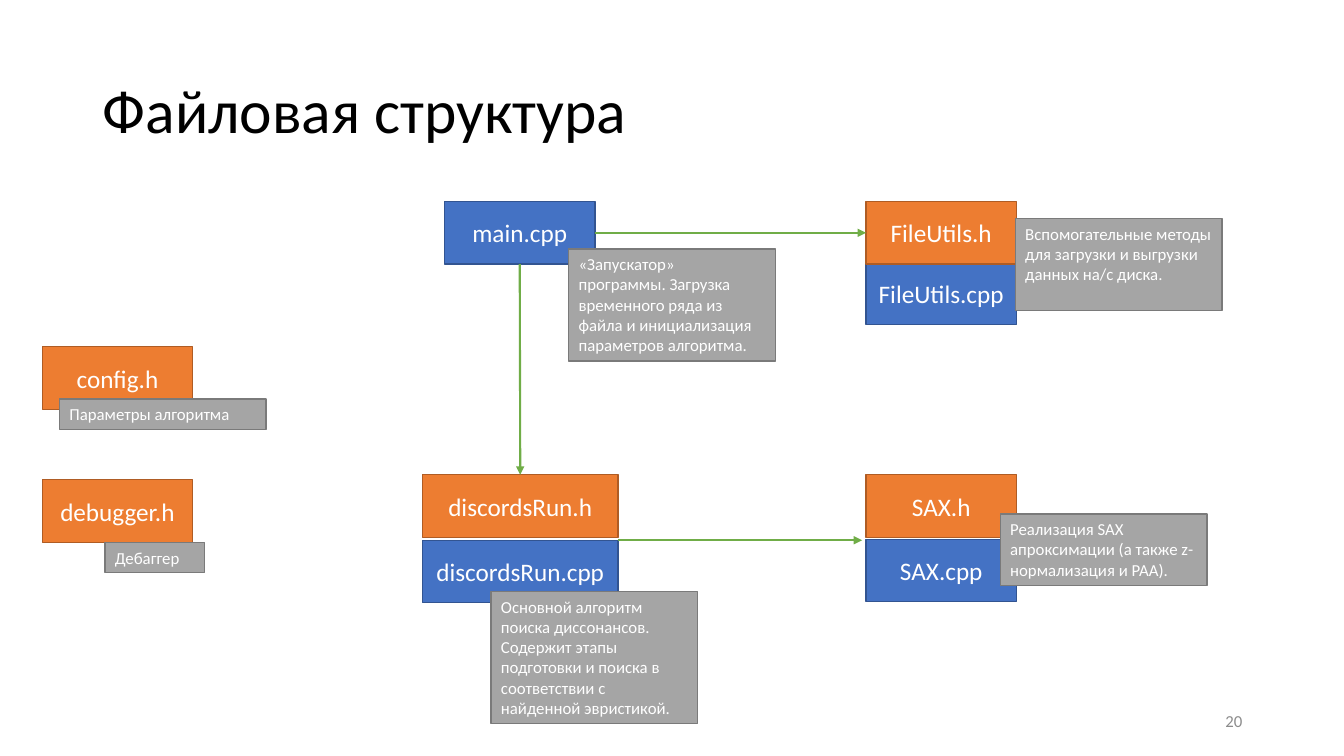
from dataclasses import dataclass

from lxml.etree import SubElement
from pptx import Presentation
from pptx.dml.color import RGBColor
from pptx.enum.shapes import MSO_CONNECTOR as Connector, MSO_SHAPE as Shape
from pptx.enum.text import MSO_ANCHOR as Anchor, MSO_AUTO_SIZE as AutoSize, PP_ALIGN as Align
from pptx.oxml.ns import qn
from pptx.util import Inches, Pt


@dataclass(frozen=True)
class Theme:
    """Colours, font and type sizes of the slide."""
    font: str = "Calibri"
    title_size: int = 44
    file_size: int = 18
    small_size: int = 12
    black: str = "000000"
    white: str = "FFFFFF"
    muted: str = "8C8C8C"
    arrow: str = "70AD47"
    source: tuple = ("4472C4", "325491")
    header: tuple = ("ED7D31", "AF5C24")
    note: tuple = ("A5A5A5", "7A7A7A")


THEME = Theme()
FILE_WIDTH, FILE_HEIGHT = 1.49, 0.62
DISCORDS_WIDTH = 1.94
NOTE_WIDTH = 2.05

SOURCES = [
    ("FileUtils.cpp", 8.59, 2.6, FILE_WIDTH),
    ("main.cpp", 4.41, 2, FILE_WIDTH),
    ("SAX.cpp", 8.59, 5.35, FILE_WIDTH),
    ("discordsRun.cpp", 4.19, 5.36, DISCORDS_WIDTH),
]
HEADERS = [
    ("FileUtils.h", 8.59, 2, FILE_WIDTH),
    ("SAX.h", 8.59, 4.71, FILE_WIDTH),
    ("discordsRun.h", 4.19, 4.71, DISCORDS_WIDTH),
    ("debugger.h", 0.42, 4.76, FILE_WIDTH),
    ("config.h", 0.42, 3.44, FILE_WIDTH),
]
NOTES = [
    ("«Запускатор» программы. Загрузка временного ряда из файла и инициализация "
     "параметров алгоритма.", 5.64, 2.47, NOTE_WIDTH, 1.11),
    ("Основной алгоритм поиска диссонансов. Содержит этапы подготовки и поиска в "
     "соответствии с найденной эвристикой.", 4.87, 5.87, NOTE_WIDTH, 1.31),
    ("Реализация SAX апроксимации (а также z-нормализация и PAA).",
     9.92, 5.1, NOTE_WIDTH, 0.71),
    ("Вспомогательные методы для загрузки и выгрузки данных на/с диска.",
     10.07, 2.17, NOTE_WIDTH, 0.91),
    ("Параметры алгоритма", 0.59, 3.96, NOTE_WIDTH, 0.3),
    ("Дебаггер", 1.04, 5.38, 0.99, 0.3),
]


def write_text(frame, text, size, color, align, anchor):
    """Write one formatted run into a text frame."""
    frame.word_wrap = True
    frame.vertical_anchor = anchor
    para = frame.paragraphs[0]
    para.alignment = align
    span = para.add_run()
    span.text = text
    span.font.name = THEME.font
    span.font.size = Pt(size)
    span.font.color.rgb = RGBColor.from_string(color)
    return para


def set_title(page, text):
    """Place and format the title placeholder."""
    title = page.shapes.title
    title.left, title.top = Inches(0.92), Inches(0.4)
    title.width, title.height = Inches(11.5), Inches(1.45)
    para = write_text(title.text_frame, text, THEME.title_size, THEME.black,
                      Align.LEFT, Anchor.MIDDLE)
    para.line_spacing = 0.9
    title.text_frame.auto_size = AutoSize.NONE


def add_box(page, left, top, width, height, colors):
    """Add a filled and outlined rectangle."""
    box = page.shapes.add_shape(Shape.RECTANGLE, Inches(left), Inches(top),
                                Inches(width), Inches(height))
    fill, line = colors
    box.shadow.inherit = False
    box.fill.solid()
    box.fill.fore_color.rgb = RGBColor.from_string(fill)
    box.line.color.rgb = RGBColor.from_string(line)
    box.line.width = Pt(1)
    return box


def add_file(page, name, left, top, width, colors):
    """Add a box that names a source or header file."""
    box = add_box(page, left, top, width, FILE_HEIGHT, colors)
    write_text(box.text_frame, name, THEME.file_size, THEME.white,
               Align.CENTER, Anchor.MIDDLE)
    return box


def add_note(page, text, left, top, width, height):
    """Add a grey explanation that grows with its text."""
    box = add_box(page, left, top, width, height, THEME.note)
    write_text(box.text_frame, text, THEME.small_size, THEME.white,
               Align.LEFT, Anchor.TOP)
    box.text_frame.auto_size = AutoSize.SHAPE_TO_FIT_TEXT


def add_arrow(page, start=(0, 0), end=(0, 0)):
    """Add a green straight arrow between two points."""
    arrow = page.shapes.add_connector(Connector.STRAIGHT, *map(Inches, start + end))
    arrow.line.color.rgb = RGBColor.from_string(THEME.arrow)
    arrow.line.width = Pt(1.5)
    SubElement(arrow.line._get_or_add_ln(), qn("a:tailEnd"), type="triangle")
    SubElement(arrow._element.spPr, qn("a:effectLst"))
    return arrow


def join_files(page, origin, origin_side, target, target_side):
    """Join the sides of two file boxes with an arrow."""
    arrow = add_arrow(page)
    arrow.begin_connect(origin, origin_side)
    arrow.end_connect(target, target_side)


def add_page_number(page, number):
    """Add the page number at the bottom right."""
    box = page.shapes.add_textbox(Inches(9.42), Inches(6.95), Inches(3), Inches(0.4))
    write_text(box.text_frame, number, THEME.small_size, THEME.muted,
               Align.RIGHT, Anchor.MIDDLE)


def main():
    """Build the file structure slide and save it."""
    deck = Presentation()
    deck.slide_width, deck.slide_height = Inches(13.33), Inches(7.5)
    page = deck.slides.add_slide(deck.slide_layouts[5])
    set_title(page, "Файловая структура")
    files = {}
    for colors, group in ((THEME.source, SOURCES), (THEME.header, HEADERS)):
        for name, left, top, width in group:
            files[name] = add_file(page, name, left, top, width, colors)
    join_files(page, files["main.cpp"], 2, files["discordsRun.h"], 0)
    join_files(page, files["main.cpp"], 3, files["FileUtils.h"], 1)
    add_arrow(page, (6.13, 5.36), (8.55, 5.36))
    for note in NOTES:
        add_note(page, *note)
    add_page_number(page, "20")
    deck.save("out.pptx")


if __name__ == "__main__":
    main()
